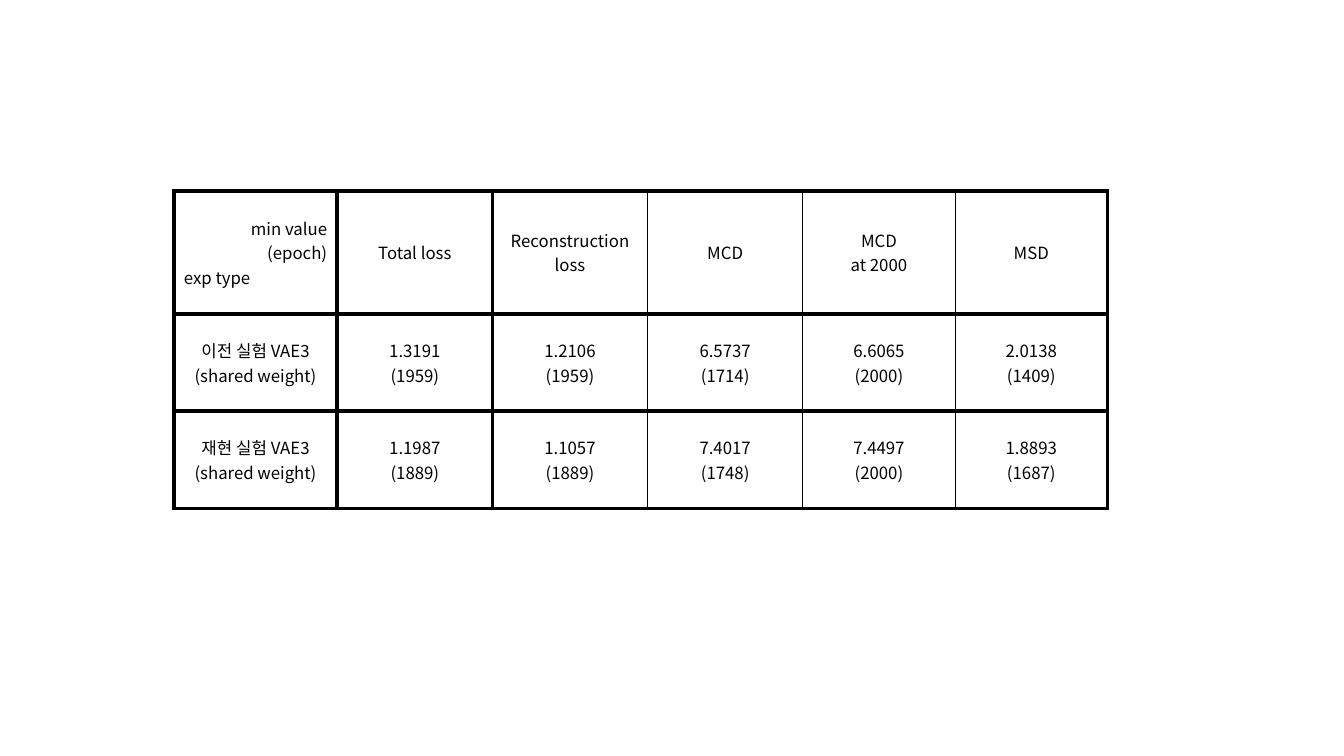
from lxml import etree
from pptx import Presentation
from pptx.dml import color
from pptx.enum import text
from pptx.oxml import ns
from pptx.util import Cm, Pt

BLACK = color.RGBColor(0, 0, 0)
FACE = "Noto Sans CJK KR"
FONT = {"name": FACE, "size": Pt(12), "bold": False}
CENTER, RIGHT, LEFT = (text.PP_ALIGN.CENTER, text.PP_ALIGN.RIGHT,
                       text.PP_ALIGN.LEFT)

WIDTHS = [4.12, 3.91, 3.91, 3.91, 3.84, 3.84]
HEIGHTS = [3.1, 2.45, 2.45]
THICK, THIN = 3, 1
# Line widths of the vertical rules, left to right
RULES = [THICK, THICK, THICK, THIN, THIN, THIN, THICK]

ROWS = [
    ["min value\n(epoch)\nexp type", "Total loss", "Reconstruction\nloss",
     "MCD", "MCD\nat 2000", "MSD"],
    ["이전 실험 VAE3\n(shared weight)", "1.3191\n(1959)", "1.2106\n(1959)",
     "6.5737\n(1714)", "6.6065\n(2000)", "2.0138\n(1409)"],
    ["재현 실험 VAE3\n(shared weight)", "1.1987\n(1889)", "1.1057\n(1889)",
     "7.4017\n(1748)", "7.4497\n(2000)", "1.8893\n(1687)"],
]


def set_font(run):
    for key, value in FONT.items():
        setattr(run.font, key, value)
    run.font.color.rgb = BLACK
    asian = etree.SubElement(run.font._element, ns.qn("a:ea"))
    asian.set("typeface", FACE)


def write(cell, words, aligns):
    """Fill a cell with one paragraph per line of words."""
    cell.text = words
    cell.vertical_anchor = text.MSO_ANCHOR.MIDDLE
    for para, align in zip(cell.text_frame.paragraphs, aligns):
        para.alignment = align
        for run in para.runs:
            set_font(run)


def border(cell, sides):
    """Draw cell edges; sides maps L, R, T, B, in that order, to points."""
    props = cell._tc.get_or_add_tcPr()
    for spot, (side, width) in enumerate(sides.items()):
        line = etree.Element(ns.qn("a:ln" + side), w=str(Pt(width)))
        fill = etree.SubElement(line, ns.qn("a:solidFill"))
        etree.SubElement(fill, ns.qn("a:srgbClr"), val=str(BLACK))
        props.insert(spot, line)


def add_grid(slide):
    frame = slide.shapes.add_table(
        len(ROWS), len(WIDTHS), Cm(4.38), Cm(4.81),
        Cm(sum(WIDTHS)), Cm(sum(HEIGHTS)))
    grid = frame.table
    grid.first_row = grid.horz_banding = False
    for col, width in zip(grid.columns, WIDTHS):
        col.width = Cm(width)
    for row, height in zip(grid.rows, HEIGHTS):
        row.height = Cm(height)
    for r, row in enumerate(ROWS):
        for c, words in enumerate(row):
            cell = grid.cell(r, c)
            corner = r == c == 0
            write(cell, words, [RIGHT, RIGHT, LEFT] if corner else [CENTER] * 2)
            cell.fill.background()
            border(cell, {"L": RULES[c], "R": RULES[c + 1],
                          "T": THICK, "B": THICK})


def main():
    deck = Presentation()
    deck.slide_width, deck.slide_height = Cm(33.87), Cm(19.05)
    blank = deck.slide_layouts[6]
    add_grid(deck.slides.add_slide(blank))
    deck.save("out.pptx")


if __name__ == "__main__":
    main()
